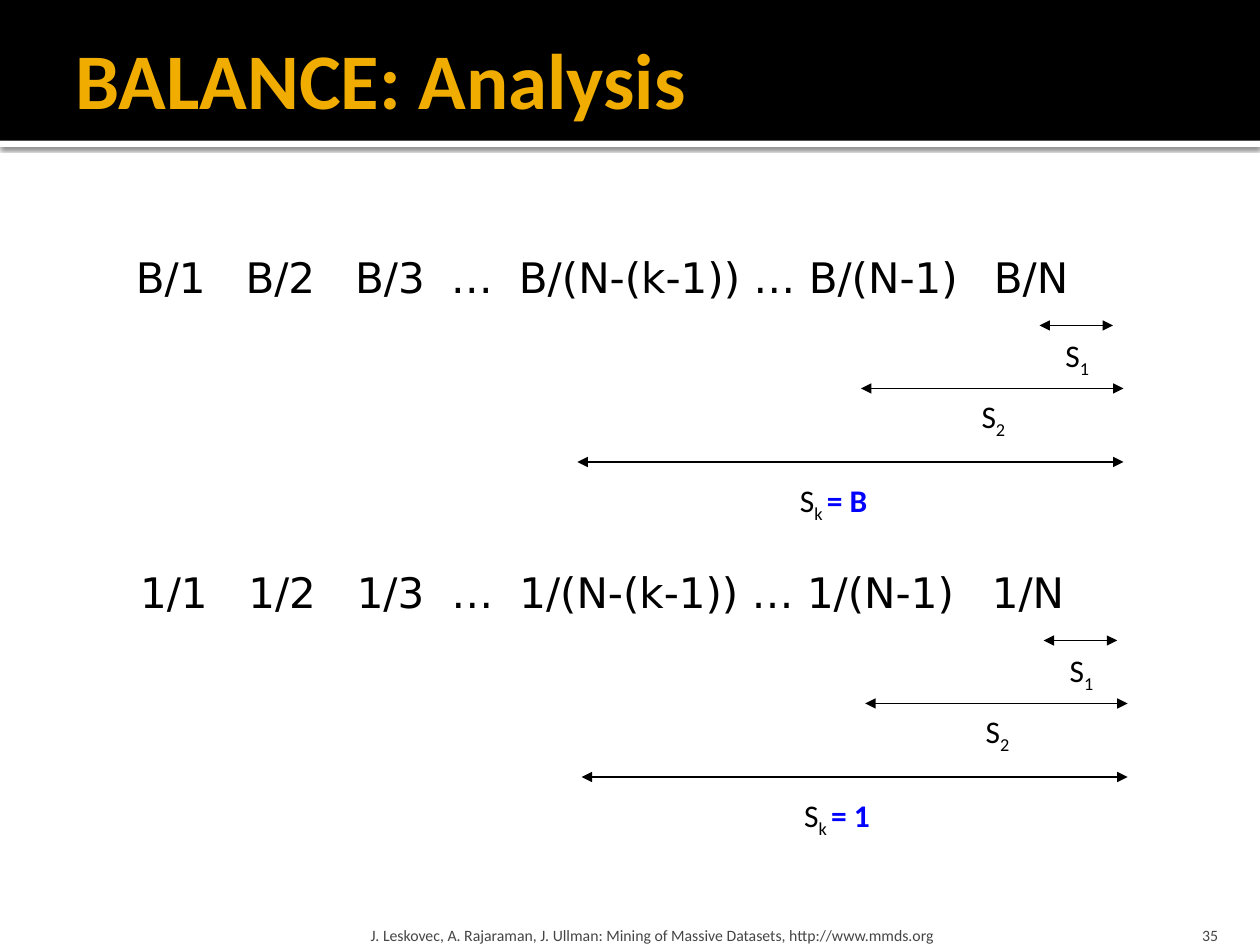
from dataclasses import dataclass
from lxml import etree
from pptx import Presentation
from pptx.dml.color import RGBColor
from pptx.enum.shapes import MSO_CONNECTOR, MSO_SHAPE
from pptx.enum.text import MSO_ANCHOR, PP_ALIGN
from pptx.oxml.ns import qn
from pptx.util import Inches, Pt

LINE, RECT = MSO_CONNECTOR.STRAIGHT, MSO_SHAPE.RECTANGLE
TOP, MID, LOW = MSO_ANCHOR.TOP, MSO_ANCHOR.MIDDLE, MSO_ANCHOR.BOTTOM
LEFT, RIGHT = PP_ALIGN.LEFT, PP_ALIGN.RIGHT
COLS, ROWS, CELL = 120, 90, 1 / 12  # grid of twelve cells to the inch


@dataclass(frozen=True)
class Theme:
    """Colours, fonts and type sizes."""
    ink: str = "000000"
    paper: str = "FFFFFF"
    gold: str = "F0AD00"
    blue: str = "0000FF"
    grey: str = "454545"
    sans: str = "Calibri"
    math: str = "DejaVu Sans"
    head: int = 45
    term: int = 24
    label: int = 18
    foot: int = 9


THEME = Theme()


def grid(*cells):
    """Turn grid cells into lengths."""
    return [Inches(n * CELL) for n in cells]


def add_run(para, text, size, color, font=THEME.sans, bold=False, base=0):
    """Add one run; base is the baseline shift in percent."""
    run = para.add_run()
    run.text = text
    run.font.size, run.font.name, run.font.bold = Pt(size), font, bold
    run.font.color.rgb = RGBColor.from_string(color)
    if base:
        run.font._element.set("baseline", str(base * 1000))


def add_box(slide, box, anchor=TOP, align=LEFT, pads=(0.1, 0.05, 0.1, 0.05)):
    """Add an empty text box and return its paragraph."""
    frame = slide.shapes.add_textbox(*grid(*box)).text_frame
    frame.word_wrap, frame.vertical_anchor = True, anchor
    (frame.margin_left, frame.margin_top,
     frame.margin_right, frame.margin_bottom) = map(Inches, pads)
    para = frame.paragraphs[0]
    para.alignment = align
    return para


def add_bar(slide, box, color):
    """Add a plain filled bar."""
    bar = slide.shapes.add_shape(RECT, *grid(*box))
    bar.shadow.inherit = False
    bar.fill.solid()
    bar.fill.fore_color.rgb = RGBColor.from_string(color)
    bar.line.fill.background()
    return bar


def add_shade(bar):
    """Cast a soft shadow below a bar."""
    effect = bar._element.spPr.find(qn("a:effectLst"))
    shade = etree.SubElement(effect, qn("a:outerShdw"), blurRad=str(Pt(2.5)),
                             dist=str(Pt(0.8)), dir="5400000",
                             algn="tl", rotWithShape="0")
    tint = etree.SubElement(shade, qn("a:srgbClr"), val=THEME.ink)
    etree.SubElement(tint, qn("a:alpha"), val="60000")


def add_arrow(slide, left, right, row):
    """Add a level arrow with a head at each end."""
    arrow = slide.shapes.add_connector(LINE, *grid(left, row, right, row))
    arrow.line.width = Pt(0.75)
    arrow.line.color.rgb = RGBColor.from_string(THEME.ink)
    line = arrow.line._get_or_add_ln()
    for end in ("a:headEnd", "a:tailEnd"):
        etree.SubElement(line, qn(end), type="triangle")
    etree.SubElement(arrow._element.spPr, qn("a:effectLst"))


def set_tabs(para, stops):
    """Set left tab stops, in inches."""
    tabs = etree.SubElement(para._p.get_or_add_pPr(), qn("a:tabLst"))
    for stop in stops:
        etree.SubElement(tabs, qn("a:tab"), pos=str(Inches(stop)), algn="l")


def header(slide, box, title):
    """Fill a box with the title band and its white rule."""
    left, top, width, height = box
    add_shade(add_bar(slide, (left, top + height, width, 0.6), THEME.paper))
    add_bar(slide, box, THEME.ink)
    para = add_box(slide, (left + 6, top + 1, width - 12, height - 0.5), MID,
                   pads=(0.1, 0.05, 0.05, 0.05))
    add_run(para, title, THEME.head, THEME.gold, bold=True)


def series(slide, origin, top, width):
    """Draw a row of terms top/n, each width inches wide, with its sums."""
    col, row = origin
    para = add_box(slide, (col - 0.24, row + 0.4, 98.5, 6))
    set_tabs(para, (width + 0.32, 2 * width + 0.64, 3 * width + 0.85,
                    3 * width + 1.39, 5 * width + 4.06))
    terms = (f"{top}/1", f"{top}/2", f"{top}/3", "…",
             f"{top}/(N-(k-1)) … {top}/(N-1)", f"{top}/N")
    add_run(para, "\t".join(terms), THEME.term, THEME.ink, THEME.math)

    sums = ((87, 94, 8, 88.3, 8.4, "1", ""),
            (70, 95, 14, 80.3, 14.2, "2", ""),
            (43, 95, 21, 63, 22.2, "k ", f"= {top}"))
    for start, end, level, left, drop, index, total in sums:
        add_arrow(slide, col + start, col + end, row + level)
        para = add_box(slide, (col + left, row + drop,
                               10.2 if total else 5.8, 4.8))
        add_run(para, "S", THEME.label, THEME.ink)
        add_run(para, index, THEME.label, THEME.ink, base=-25)
        if total:
            add_run(para, total, THEME.label, THEME.blue, bold=True)


def footer(slide, box, source, number):
    """Place the source and the slide number along the foot."""
    left, top, width, height = box
    para = add_box(slide, (left + width - 12.4, top, 9.6, height), LOW, RIGHT,
                   (0.1, 0.05, 0.1, 0))
    add_run(para, number, THEME.foot, THEME.grey)
    para = add_box(slide, (left + 34.7, top, 72.2, height), LOW,
                   pads=(0.05, 0.05, 0.05, 0))
    add_run(para, source, THEME.foot, THEME.grey)


def main():
    """Build and save the slide."""
    deck = Presentation()
    deck.slide_width, deck.slide_height = grid(COLS, ROWS)
    slide = deck.slides.add_slide(deck.slide_layouts[6])
    header(slide, (0, 0, COLS, 13.4), "BALANCE: Analysis")
    for origin, top, width in (((12, 23), "B", 0.55), ((12.4, 53), "1", 0.54)):
        series(slide, origin, top, width)
    footer(slide, (0, 86.4, COLS, 3.6),
           "J. Leskovec, A. Rajaraman, J. Ullman: "
           "Mining of Massive Datasets, http://www.mmds.org", "35")
    deck.save("out.pptx")


main()
